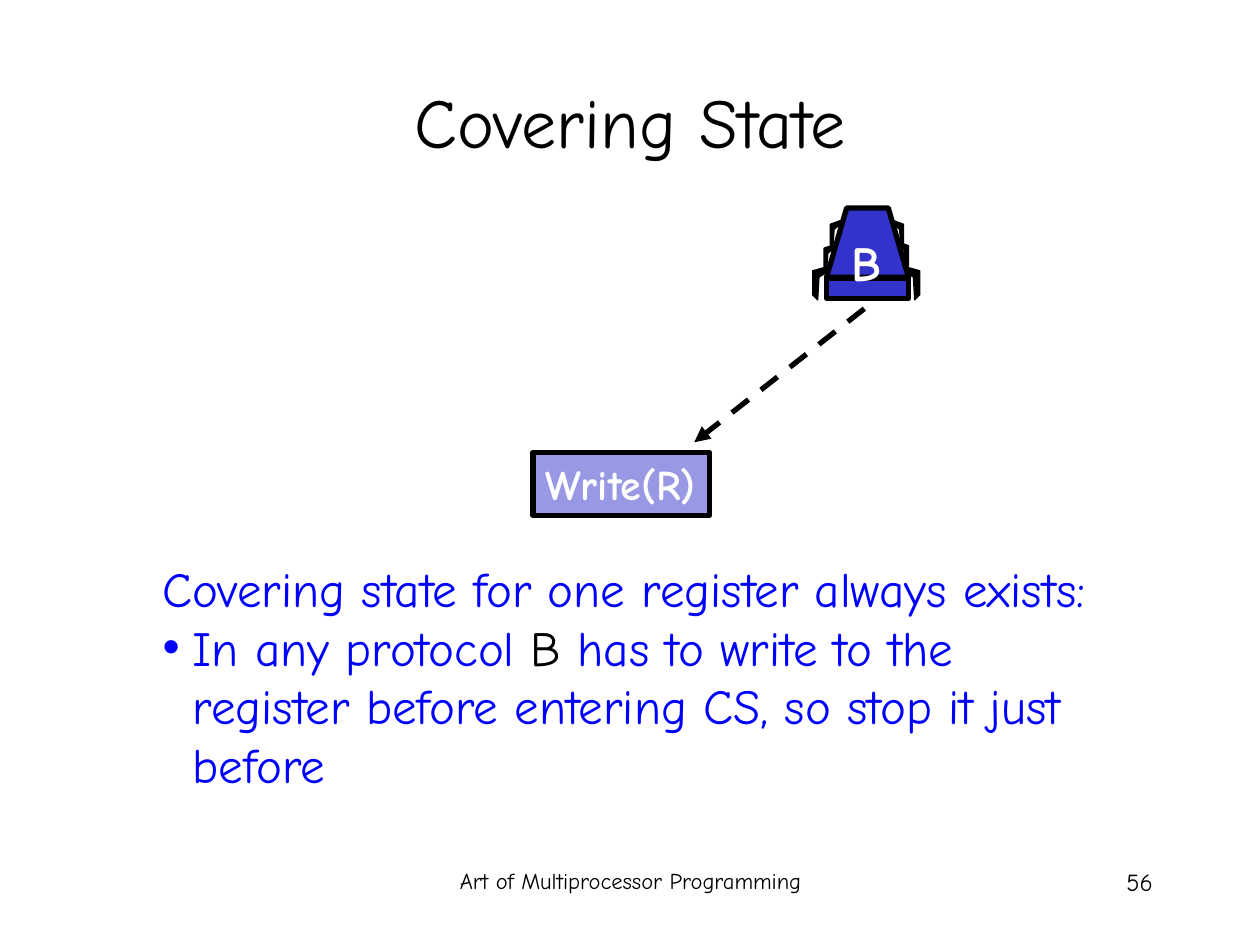
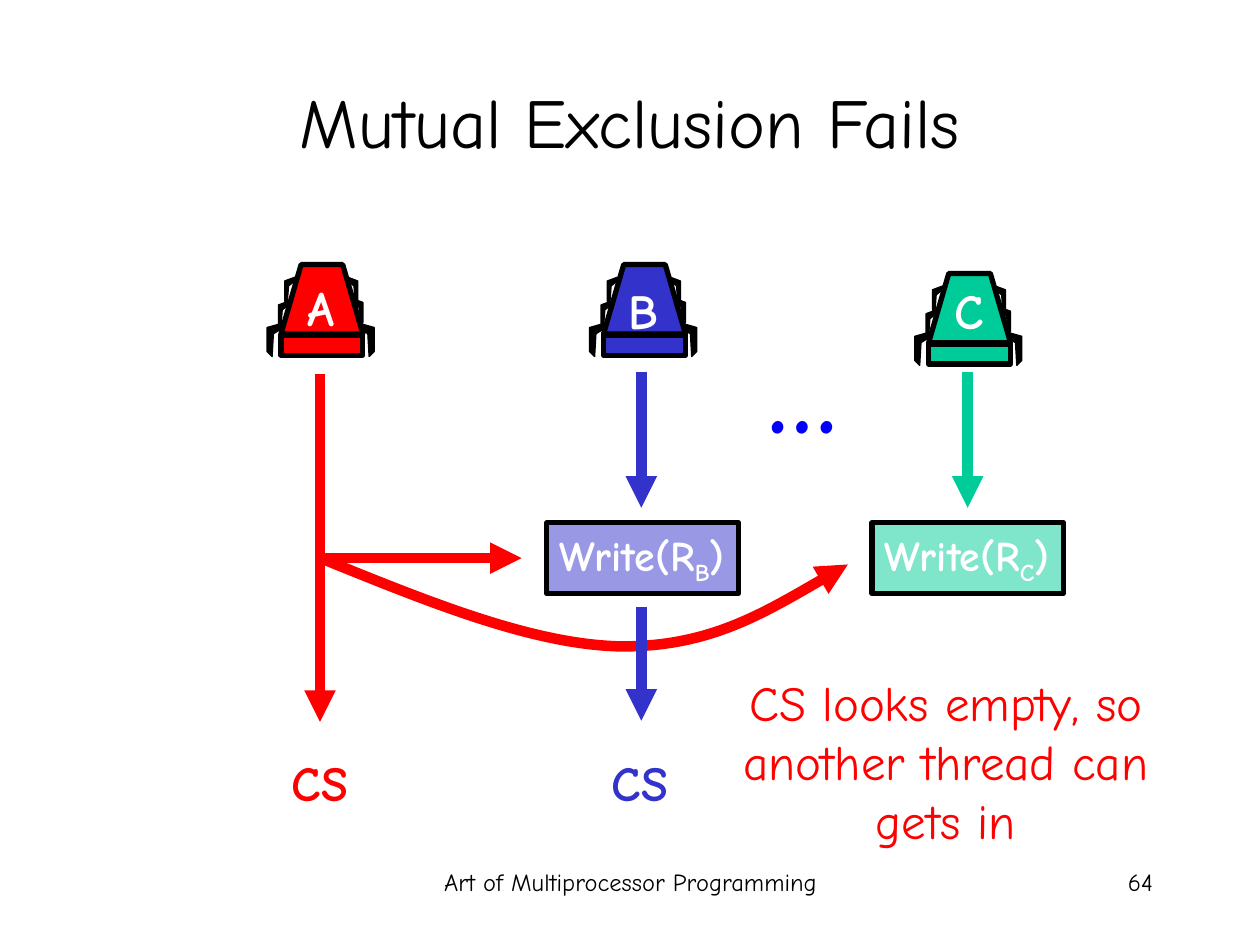
"""Build two slides on covering states and mutual exclusion."""
from lxml import etree
from pptx import Presentation
from pptx.dml.color import RGBColor
from pptx.enum.dml import MSO_LINE
from pptx.enum.shapes import MSO_CONNECTOR, MSO_SHAPE
from pptx.enum.text import MSO_ANCHOR, MSO_AUTO_SIZE, PP_ALIGN
from pptx.oxml.ns import qn
from pptx.util import Inches, Pt

DASH = MSO_LINE.DASH
STRAIGHT = MSO_CONNECTOR.STRAIGHT
RECTANGLE = MSO_SHAPE.RECTANGLE
TOP, MIDDLE = MSO_ANCHOR.TOP, MSO_ANCHOR.MIDDLE
FIXED_SIZE = MSO_AUTO_SIZE.NONE
LEFT, CENTER, RIGHT = PP_ALIGN.LEFT, PP_ALIGN.CENTER, PP_ALIGN.RIGHT

FONT = "Comic Neue"
COLORS = {
    "black": "000000",
    "white": "FFFFFF",
    "red": "FF0000",
    "indigo": "3333CC",
    "green": "00CC99",
    "blue": "0000FF",
}
SUBSCRIPT = "-25000"


def write(shape, paragraphs, size, bold=False, alignment=LEFT, wrap=True, anchor=TOP):
    """Fill a shape with paragraphs, each a list of (text, color, baseline) runs."""
    frame = shape.text_frame
    frame.word_wrap = wrap
    frame.auto_size = FIXED_SIZE
    frame.vertical_anchor = anchor
    for index, runs in enumerate(paragraphs):
        paragraph = frame.add_paragraph() if index else frame.paragraphs[0]
        paragraph.alignment = alignment
        paragraph.space_before = Pt(0)
        for text, color, *baseline in runs:
            run = paragraph.add_run()
            run.text = text
            run.font.name = FONT
            run.font.size = Pt(size)
            run.font.bold = bold
            run.font.color.rgb = RGBColor.from_string(COLORS[color])
            for value in baseline:
                run.font._element.set("baseline", value)


def paint(shape, fill, line_color, line_width):
    """Give a shape a flat fill and outline; no fill color leaves it open."""
    shape.shadow.inherit = False
    if fill:
        shape.fill.solid()
        shape.fill.fore_color.rgb = RGBColor.from_string(COLORS[fill])
    else:
        shape.fill.background()
    shape.line.color.rgb = RGBColor.from_string(COLORS[line_color])
    shape.line.width = Pt(line_width)


presentation = Presentation()
presentation.slide_width = Inches(10)
presentation.slide_height = Inches(7.5)

pages = [
    (1, "Covering State", "56", 12.9),
    (5, "Mutual Exclusion Fails", "64", 14),
]
for layout_index, title, number, footer_size in pages:
    slide = presentation.slides.add_slide(presentation.slide_layouts[layout_index])
    shape = slide.shapes.title
    shape.left, shape.top = Inches(0.75), Inches(0.33)
    shape.width, shape.height = Inches(8.5), Inches(1.25)
    write(shape, [[(title, "black")]], 40, alignment=CENTER, anchor=MIDDLE)
    footers = [
        (3.42, 3.17, "Art of Multiprocessor Programming", footer_size, CENTER),
        (7.17, 2.08, number, 14, RIGHT),
    ]
    for left, width, text, size, alignment in footers:
        shape = slide.shapes.add_textbox(Inches(left), Inches(6.83), Inches(width), Inches(0.5))
        write(shape, [[(text, "black")]], size, alignment=alignment)

covering_slide, failure_slide = presentation.slides

body = covering_slide.placeholders[1]
body.left, body.top = Inches(1.19), Inches(4.38)
body.width, body.height = Inches(7.67), Inches(1.97)
write(body, [
    [("Covering state for one register always exists:", "blue")],
    [
        ("In any protocol ", "blue"),
        ("B", "black"),
        (" has to write to the register before entering CS, so stop it just before", "blue"),
    ],
], 28)
heading, bullet = [paragraph._p.get_or_add_pPr() for paragraph in body.text_frame.paragraphs]
heading.set("marL", "0")
heading.set("indent", "0")
etree.SubElement(heading, qn("a:buNone"))
bullet.set("marL", str(Inches(0.24)))
bullet.set("indent", str(-Inches(0.24)))
bullet_color = etree.SubElement(bullet, qn("a:buClr"))
etree.SubElement(bullet_color, qn("a:srgbClr"), val=COLORS["blue"])
etree.SubElement(bullet, qn("a:buChar"), char="•")

writes = [
    (covering_slide, 4.23, 3.59, 1.4, 0.5, "indigo", [("Write(R)", "white")]),
]
for left, color, letter in [(4.34, "indigo", "B"), (6.92, "green", "C")]:
    runs = [("Write(R", "white"), (letter, "white", SUBSCRIPT), (")", "white")]
    writes.append((failure_slide, left, 4.15, 1.52, 0.56, color, runs))
for slide, left, top, width, height, color, runs in writes:
    shape = slide.shapes.add_shape(
        RECTANGLE, Inches(left), Inches(top), Inches(width), Inches(height))
    paint(shape, color, "black", 3)
    fill_color = shape._element.spPr.find(qn("a:solidFill"))[0]
    etree.SubElement(fill_color, qn("a:alpha"), val="50000")
    write(shape, [runs], 24, bold=True, wrap=False)

LONG_LEG = [(0, 0), (0.14, 0.04), (0.14, 0.23), (0.1, 0.27), (0.09, 0.09), (0.01, 0.04)]
SHORT_LEG = [(0, 0), (0.08, 0.03), (0.08, 0.19), (0.06, 0.21), (0.05, 0.07), (0, 0.03)]
TRUNK = [(0, 0.55), (0.16, 0), (0.49, 0), (0.65, 0.55)]
figure_parts = [
    (0.72, 0.46, 1, LONG_LEG),
    (0.69, 0.27, 1, SHORT_LEG),
    (0.15, 0.46, -1, LONG_LEG),
    (0.18, 0.29, -1, SHORT_LEG),
    (0.12, 0, 1, TRUNK),
    (0.65, 0.1, 1, SHORT_LEG),
    (0.23, 0.1, -1, SHORT_LEG),
]
threads = [
    (covering_slide, 6.44, 1.65, "B", "indigo", 0.15),
    (failure_slide, 4.67, 2.1, "B", "indigo", 0.08),
    (failure_slide, 7.25, 2.17, "C", "green", 0.01),
    (failure_slide, 2.11, 2.1, "A", "red", 0.05),
]
for slide, left, top, letter, color, letter_top in threads:
    group = slide.shapes.add_group_shape()
    for part_left, part_top, side, outline in figure_parts:
        points = [
            (Inches(left + part_left + side * x), Inches(top + part_top + y))
            for x, y in outline
        ]
        builder = group.shapes.build_freeform(*points[0])
        builder.add_line_segments(points[1:], close=True)
        shape = builder.convert_to_shape()
        if outline is TRUNK:
            paint(shape, color, "black", 3)
            base = group.shapes.add_shape(
                RECTANGLE, Inches(left + 0.12), Inches(top + 0.56), Inches(0.65), Inches(0.16))
            paint(base, color, "black", 3)
        else:
            paint(shape, "black", "black", 0.75)
    shape = slide.shapes.add_textbox(
        Inches(left + 0.22), Inches(top + letter_top), Inches(0.44), Inches(0.57))
    write(shape, [[(letter, "white")]], 28, bold=True, alignment=CENTER, wrap=False)

curve_points = [
    (Inches(x), Inches(y)) for x, y in [
        (2.57, 4.44), (3.41, 4.78), (4.24, 5.12), (4.94, 5.13),
        (5.63, 5.13), (6.18, 4.8), (6.73, 4.48),
    ]
]
builder = failure_slide.shapes.build_freeform(*curve_points[0])
builder.add_line_segments(curve_points[1:], close=False)
curve = builder.convert_to_shape()
paint(curve, None, "red", 6)
outline_path = curve._element.spPr.find(".//" + qn("a:path"))
segments = outline_path.findall(qn("a:lnTo"))
for start in range(0, len(segments), 3):
    bezier = etree.SubElement(outline_path, qn("a:cubicBezTo"))
    for segment in segments[start:start + 3]:
        bezier.append(segment[0])
        outline_path.remove(segment)

arrows = [
    (covering_slide, 6.86, 2.45, 5.51, 3.51, "black", 3),
    (failure_slide, 5.09, 2.95, 5.09, 4.03, "indigo", 6),
    (failure_slide, 7.68, 2.95, 7.68, 4.03, "green", 6),
    (failure_slide, 2.54, 2.97, 2.54, 5.73, "red", 6),
    (failure_slide, 2.54, 4.43, 4.14, 4.43, "red", 6),
    (failure_slide, 5.09, 4.82, 5.09, 5.72, "indigo", 6),
]
arrow_shapes = [curve]
for slide, start_x, start_y, end_x, end_y, color, width in arrows:
    connector = slide.shapes.add_connector(
        STRAIGHT, Inches(start_x), Inches(start_y), Inches(end_x), Inches(end_y))
    connector.line.color.rgb = RGBColor.from_string(COLORS[color])
    connector.line.width = Pt(width)
    if slide is covering_slide:
        connector.line.dash_style = DASH
    etree.SubElement(connector._element.spPr, qn("a:effectLst"))
    arrow_shapes.append(connector)
for shape in arrow_shapes:
    line = shape._element.spPr.find(qn("a:ln"))
    etree.SubElement(line, qn("a:tailEnd"), type="triangle")

notes = [
    (2.22, 5.92, 0.64, 0.57, "CS", "red", 28, True, RIGHT, False),
    (4.76, 5.92, 0.64, 0.57, "CS", "indigo", 28, True, RIGHT, False),
    (5.58, 5.29, 3.85, 1.5, "CS looks empty, so another thread can gets in",
     "red", 28, False, CENTER, True),
    (5.99, 2.56, 1.06, 1.1, "…", "blue", 60, True, LEFT, True),
]
for left, top, width, height, text, color, size, bold, alignment, wrap in notes:
    shape = failure_slide.shapes.add_textbox(
        Inches(left), Inches(top), Inches(width), Inches(height))
    write(shape, [[(text, color)]], size, bold, alignment, wrap)

presentation.save("out.pptx")
